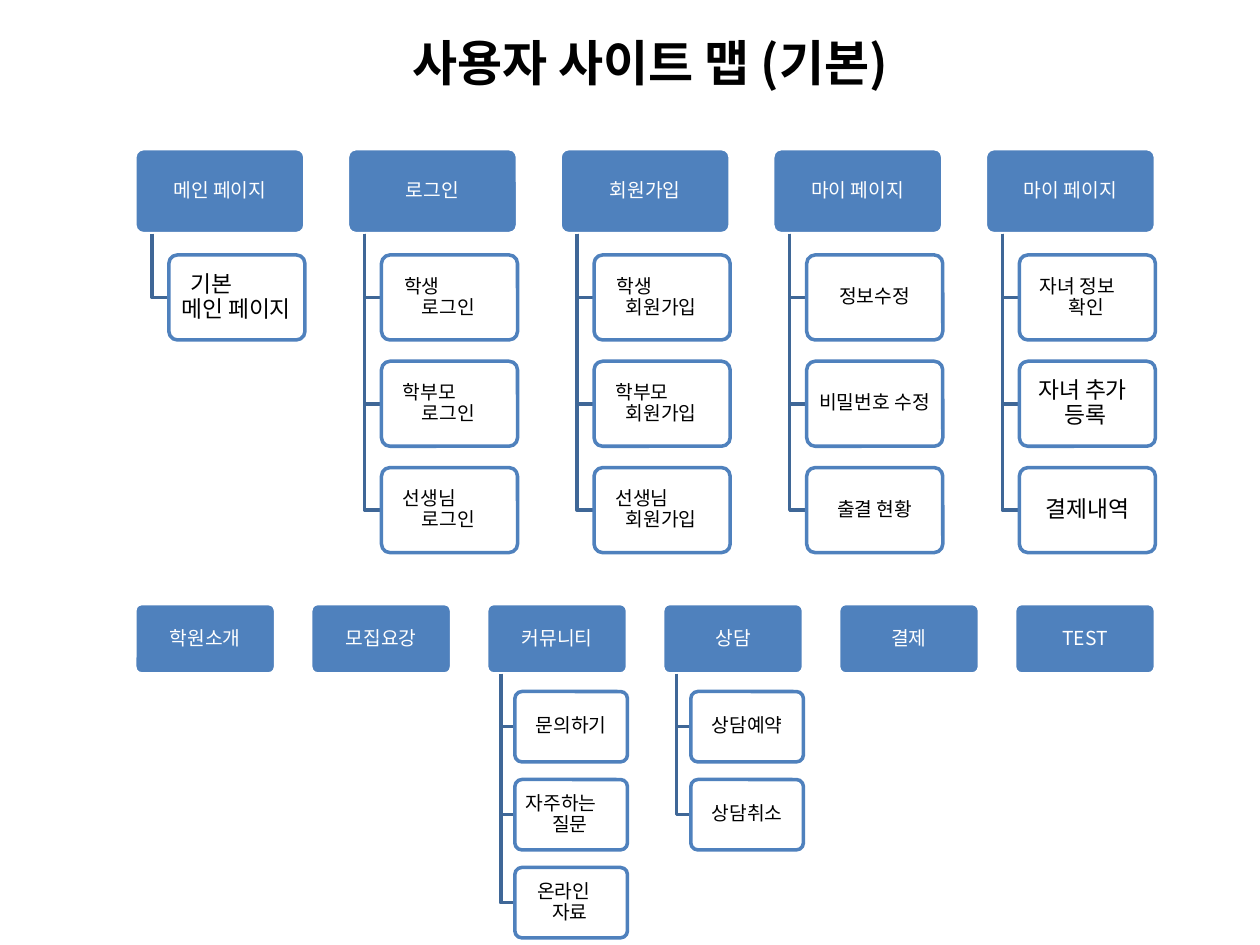
import pptx
import pptx.util
import pptx.dml.color
import pptx.enum.shapes
import pptx.enum.text
import pptx.oxml
import pptx.oxml.ns

Inches = pptx.util.Inches
COLORS = {"blue": "4F81BD", "link": "3F6797", "white": "FFFFFF", "black": "000000"}
FONT = "Noto Sans CJK KR"

MAIN_PAGES = [
    ("메인 페이지", [("기본\v메인 페이지", 13, 0.13, 0.06)]),
    ("로그인", [("학생\v로그인", 11, 0.14, 0.28),
             ("학부모\v로그인", 11, 0.13, 0.28),
             ("선생님\v로그인", 11, 0.13, 0.28)]),
    ("회원가입", [("학생\v회원가입", 11, 0.14, 0.21),
              ("학부모\v회원가입", 11, 0.13, 0.21),
              ("선생님\v회원가입", 11, 0.13, 0.21)]),
    ("마이 페이지", [("정보수정", 11), ("비밀번호 수정", 11), ("출결 현황", 11)]),
    ("마이 페이지", [("자녀 정보\v확인", 11, 0.12, 0.35),
               ("자녀 추가\v등록", 13, 0.11, 0.32),
               ("결제내역", 13)]),
]
MENU_PAGES = [
    ("학원소개", []),
    ("모집요강", []),
    ("커뮤니티", [("문의하기", 11),
              ("자주하는\v질문", 11, 0.05, 0.26),
              ("온라인\v자료", 11, 0.14, 0.26)]),
    ("상담", [("상담예약", 11), ("상담취소", 11)]),
    ("결제", []),
    ("TEST", []),
]


def rgb(name):
    """Return the named colour."""
    return pptx.dml.color.RGBColor.from_string(COLORS[name])


def write_text(shape, text, size=11, color="black", bold=False, spacing=None, offsets=None):
    """Write text into a shape; offsets give the left edges of its first and later lines."""
    paragraph = shape.text_frame.paragraphs[0]
    paragraph.text = text
    paragraph.alignment = pptx.enum.text.PP_ALIGN.CENTER
    paragraph.line_spacing = spacing
    if offsets:
        first, rest = offsets
        paragraph.alignment = pptx.enum.text.PP_ALIGN.LEFT
        properties = paragraph._p.get_or_add_pPr()
        properties.set("marL", str(Inches(rest)))
        properties.set("indent", str(Inches(round(first - rest, 2))))
    for run in paragraph.runs:
        run.font.size = pptx.util.Pt(size)
        run.font.bold = bold
        run.font.name = FONT
        run.font.color.rgb = rgb(color)
        east_asian = pptx.oxml.parse_xml(
            f'<a:ea {pptx.oxml.ns.nsdecls("a")} typeface="{FONT}"/>')
        run.font._element.find(pptx.oxml.ns.qn("a:latin")).addnext(east_asian)


def add_box(shapes, left, top, width, height, text, fill, line, alpha=None, **text_format):
    """Add a rounded box with its label."""
    box = shapes.add_shape(pptx.enum.shapes.MSO_SHAPE.ROUNDED_RECTANGLE,
                           Inches(left), Inches(top), Inches(width), Inches(height))
    box.adjustments[0] = 0.1
    box.shadow.inherit = False
    box.fill.solid()
    box.fill.fore_color.rgb = rgb(fill)
    if alpha:
        color = box._element.spPr.find(".//" + pptx.oxml.ns.qn("a:srgbClr"))
        color.append(pptx.oxml.parse_xml(
            f'<a:alpha {pptx.oxml.ns.nsdecls("a")} val="{alpha * 1000}"/>'))
    box.line.color.rgb = rgb(line)
    box.line.width = pptx.util.Pt(2)
    frame = box.text_frame
    frame.word_wrap = True
    frame.vertical_anchor = pptx.enum.text.MSO_ANCHOR.MIDDLE
    frame.margin_left = frame.margin_right = Inches(0.02)
    frame.margin_top = frame.margin_bottom = Inches(0.02)
    write_text(box, text, spacing=0.9, **text_format)


def add_elbow(shapes, left, top, right, bottom):
    """Add an L-shaped link going down, then right."""
    builder = shapes.build_freeform(Inches(left), Inches(top))
    builder.add_line_segments([(Inches(left), Inches(bottom)),
                               (Inches(right), Inches(bottom))], close=False)
    elbow = builder.convert_to_shape()
    elbow.shadow.inherit = False
    elbow.fill.background()
    elbow.line.color.rgb = rgb("link")
    elbow.line.width = pptx.util.Pt(2)


def add_branch(shapes, left, top, width, title, children):
    """Add a header box and the linked boxes hanging below it."""
    height = width / 2
    add_box(shapes, left, top, width, height, title, "blue", "white", color="white")
    for number, (text, size, *offsets) in enumerate(children, start=1):
        child_left = left + 0.2 * width
        child_top = top + number * 1.25 * height
        add_elbow(shapes, left + 0.1 * width, top + height,
                  child_left, child_top + height / 2)
        add_box(shapes, child_left, child_top, 0.8 * width, height, text,
                "white", "blue", alpha=90, size=size, offsets=offsets)


def add_hierarchy(slide, left, top, width, branches):
    """Spread branches over the width with gaps of a quarter box."""
    shapes = slide.shapes.add_group_shape().shapes
    box_width = width / (1.25 * len(branches) - 0.25)
    for index, (title, children) in enumerate(branches):
        add_branch(shapes, left + index * 1.25 * box_width, top, box_width, title, children)


def add_title(slide, left, top, width, height, text):
    """Add the slide title."""
    title = slide.shapes.add_textbox(Inches(left), Inches(top), Inches(width), Inches(height))
    title.text_frame.word_wrap = True
    title.text_frame.auto_size = pptx.enum.text.MSO_AUTO_SIZE.SHAPE_TO_FIT_TEXT
    write_text(title, text, size=28, bold=True)


def main():
    """Build and save the site map."""
    presentation = pptx.Presentation()
    presentation.slide_width = Inches(10)
    presentation.slide_height = Inches(7.5)
    slide = presentation.slides.add_slide(presentation.slide_layouts[6])
    add_hierarchy(slide, 1.07, 1.18, 8.1, MAIN_PAGES)
    add_hierarchy(slide, 1.07, 4.79, 8.1, MENU_PAGES)
    add_title(slide, 2.72, 0.21, 4.88, 0.57, "사용자 사이트 맵 (기본)")
    presentation.save("out.pptx")


main()
